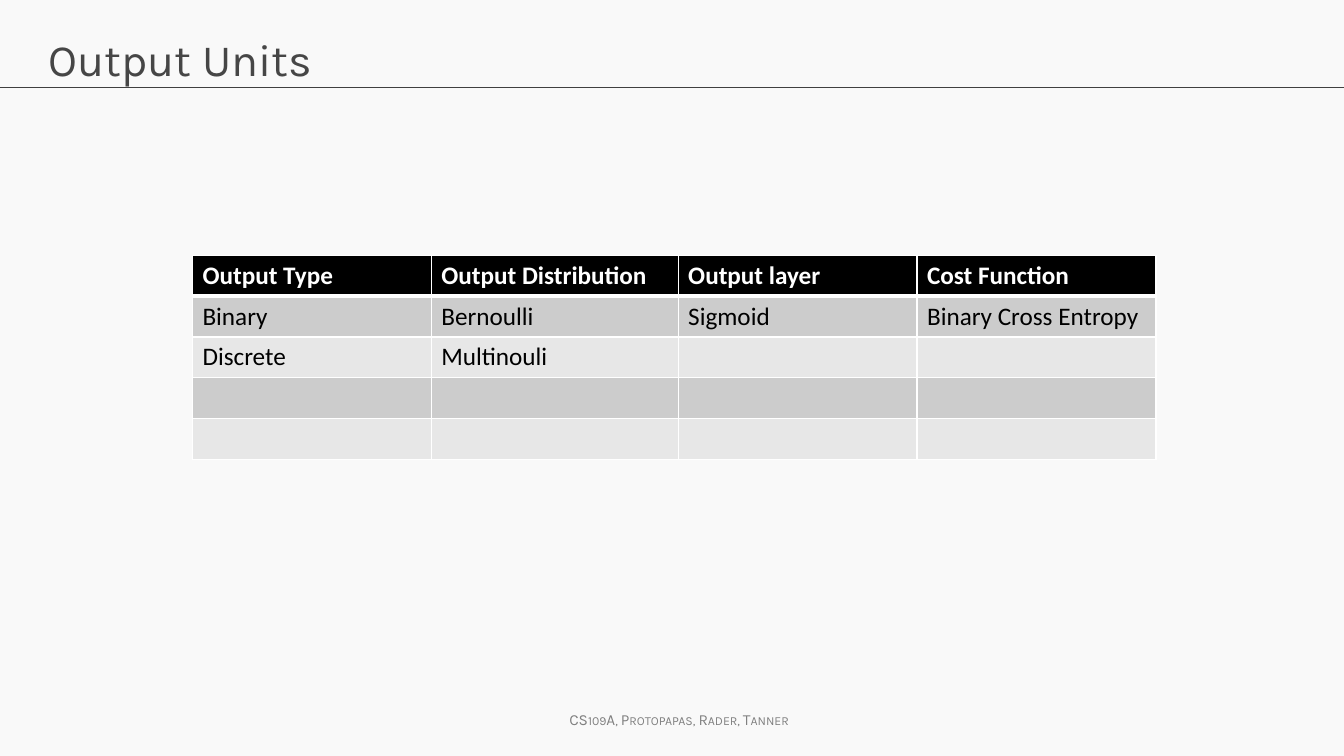
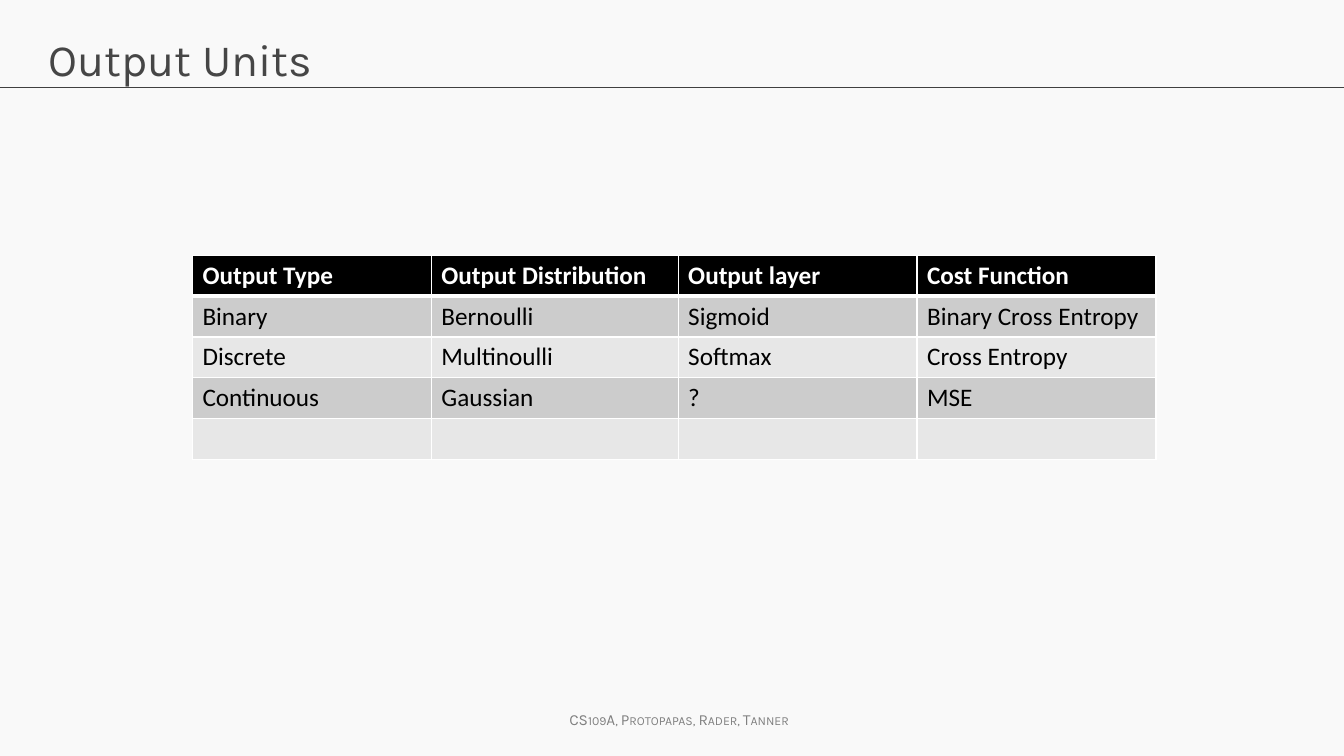
from lxml.etree import SubElement
from pptx import Presentation
from pptx.dml.color import RGBColor
from pptx.enum.shapes import MSO_CONNECTOR
from pptx.enum.text import MSO_ANCHOR, PP_ALIGN
from pptx.oxml import parse_xml
from pptx.oxml.ns import nsdecls, qn
from pptx.util import Cm, Pt

WIDE, HIGH = 33.87, 19.05
HUES = {
    "page": "F9F9F9",
    "rule": "404040",
    "title": "464646",
    "foot": "808080",
    "head": "000000",
    "odd": "CCCCCC",
    "even": "E7E7E7",
    "white": "FFFFFF",
    "black": "000000",
}
FONTS = {
    "title": {"name": "Karla", "size": Pt(32), "hue": "title"},
    "foot": {"name": "Karla", "size": Pt(11), "hue": "foot"},
    "head": {"name": "Calibri", "size": Pt(18), "bold": True, "hue": "white"},
    "body": {"name": "Calibri", "size": Pt(18), "bold": False, "hue": "black"},
}
COLS = [6.02, 6.22, 6.02, 6.02]
ROW = 1.03
HEADS = ["Output Type", "Output Distribution", "Output layer", "Cost Function"]
BINARY = ["Binary", "Bernoulli", "Sigmoid", "Binary Cross Entropy"]
BLANK = [""] * len(HEADS)
TABLES = [
    [HEADS, BINARY, ["Discrete", "Multinouli", "", ""], BLANK, BLANK],
    [
        HEADS,
        BINARY,
        ["Discrete", "Multinoulli", "Softmax", "Cross Entropy"],
        ["Continuous", "Gaussian", "?", "MSE"],
        BLANK,
    ],
]


def color(hue):
    return RGBColor.from_string(HUES[hue])


class Deck:
    def __init__(self):
        self.show = Presentation()
        self.show.slide_width, self.show.slide_height = Cm(WIDE), Cm(HIGH)
        self.slide = None

    def page(self, title):
        """Start a slide with the shared background, rule, footer and title."""
        self.slide = self.show.slides.add_slide(self.show.slide_layouts[6])
        fill = self.slide.background.fill
        fill.solid()
        fill.fore_color.rgb = color("page")
        self.rule(2.2)
        foot = self.text("CS109A, Protopapas, Rader, Tanner", "foot",
                         (13.94, 17.78, 6.35, 0.74),
                         word_wrap=False)
        foot.alignment = PP_ALIGN.CENTER
        foot.runs[0].font._element.set("cap", "small")
        self.text(title, "title", (0.97, 0.61, 31.93, 2.13),
                  word_wrap=True, margin_top=Cm(0.19))

    def rule(self, top):
        line = self.slide.shapes.add_connector(
            MSO_CONNECTOR.STRAIGHT, 0, Cm(top), Cm(WIDE), Cm(top))
        line.line.color.rgb = color("rule")
        line.line.width = Pt(0.75)
        SubElement(line._element.spPr, qn("a:effectLst"))

    def text(self, words, style, area, **frame):
        box = self.slide.shapes.add_textbox(*map(Cm, area)).text_frame
        box.vertical_anchor = MSO_ANCHOR.TOP
        for key, value in frame.items():
            setattr(box, key, value)
        para = box.paragraphs[0]
        self.run(para, words, style)
        return para

    def run(self, para, words, style):
        font_run = para.add_run()
        font_run.text = words
        for key, value in FONTS[style].items():
            if key == "hue":
                font_run.font.color.rgb = color(value)
            else:
                setattr(font_run.font, key, value)

    def table(self, rows, left, top):
        grid = self.slide.shapes.add_table(
            len(rows), len(COLS), Cm(left), Cm(top),
            Cm(sum(COLS)), Cm(ROW * len(rows))).table
        grid.horz_banding = False
        for col, width in zip(grid.columns, COLS):
            col.width = Cm(width)
        for i, words in enumerate(rows):
            grid.rows[i].height = Cm(ROW)
            band = "head" if i == 0 else "odd" if i % 2 else "even"
            edges = {"L": 1, "R": 1, "T": 3 if i == 1 else 1, "B": 3 if i == 0 else 1}
            for j, word in enumerate(words):
                cell = grid.cell(i, j)
                self.edge(cell, edges)
                cell.fill.solid()
                cell.fill.fore_color.rgb = color(band)
                if word:
                    self.run(cell.text_frame.paragraphs[0], word,
                             "body" if i else "head")

    def edge(self, cell, edges):
        """Draw white cell borders; edges maps each side to points."""
        props = cell._tc.get_or_add_tcPr()
        for side, width in edges.items():
            props.append(parse_xml(
                f'<a:ln{side} {nsdecls("a")} w="{Pt(width)}"><a:solidFill>'
                f'<a:srgbClr val="{HUES["white"]}"/></a:solidFill></a:ln{side}>'))


def main():
    deck = Deck()
    for rows in TABLES:
        deck.page("Output Units")
        deck.table(rows, 4.85, 6.43)
    deck.show.save("out.pptx")


if __name__ == "__main__":
    main()
